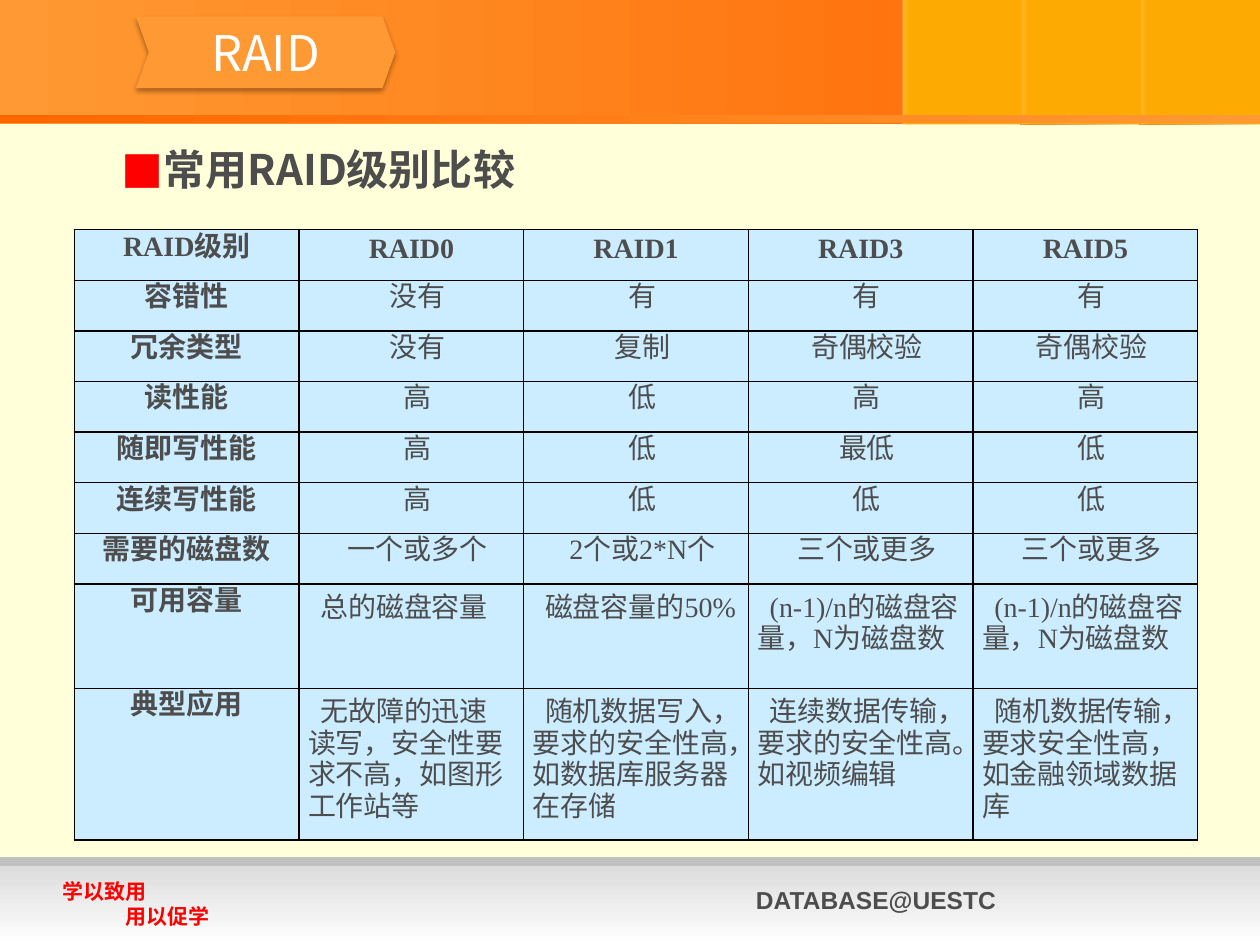
from collections import namedtuple

from pptx import Presentation
from pptx import util as u
from pptx.dml.color import RGBColor
from pptx.enum import shapes, text
from pptx.oxml import parse_xml
from pptx.oxml.ns import nsdecls, qn

Box = namedtuple("Box", "left top width height")

CREAM = RGBColor(0xFF, 0xFF, 0xD9)
ORANGE = RGBColor(0xFF, 0x99, 0x33)
DEEP_ORANGE = RGBColor(0xFF, 0x66, 0x00)
RUST = RGBColor(0xD2, 0x55, 0x00)
BROWN = RGBColor(0x61, 0x27, 0x00)
AMBER = RGBColor(0xFD, 0xAA, 0x03)
SILVER = RGBColor(0xC0, 0xC0, 0xC0)
PALE_GREY = RGBColor(0xDD, 0xDD, 0xDD)
WHITE = RGBColor(0xFF, 0xFF, 0xFF)
DARK_GREY = RGBColor(0x4D, 0x4D, 0x4D)
RED = RGBColor(0xFF, 0x00, 0x00)
LIGHT_BLUE = RGBColor(0xCC, 0xEC, 0xFF)

CJK_FONT = "Noto Sans CJK SC"

HEADER_ROW = ["RAID级别", "RAID0", "RAID1", "RAID3", "RAID5"]
SHORT_ROWS = [
    ["容错性", "没有", "有", "有", "有"],
    ["冗余类型", "没有", "复制", "奇偶校验", "奇偶校验"],
    ["读性能", "高", "低", "高", "高"],
    ["随即写性能", "高", "低", "最低", "低"],
    ["连续写性能", "高", "低", "低", "低"],
    ["需要的磁盘数", "一个或多个", "2个或2*N个", "三个或更多", "三个或更多"],
]
LONG_ROWS = [
    ["可用容量", "总的磁盘容量", "磁盘容量的50%"] + ["(n-1)/n的磁盘容量，N为磁盘数"] * 2,
    ["典型应用", "无故障的迅速读写，安全性要求不高，如图形工作站等",
     "随机数据写入，要求的安全性高，如数据库服务器在存储",
     "连续数据传输，要求的安全性高。如视频编辑",
     "随机数据传输，要求安全性高，如金融领域数据库"],
]
SHORT_HEIGHT = 1.02
LONG_HEIGHTS = [2.11, 3.05]


def add_panel(slide, box, *colors, angle=0, alphas=(), preset=shapes.MSO_SHAPE.RECTANGLE):
    """Add a borderless shape with one solid colour or a two-colour gradient."""
    shape = slide.shapes.add_shape(preset, *map(u.Cm, box))
    shape.shadow.inherit = False
    shape.line.fill.background()
    if len(colors) == 1:
        shape.fill.solid()
        shape.fill.fore_color.rgb = colors[0]
        return shape
    shape.fill.gradient()
    shape.fill.gradient_angle = angle
    for stop, color, position in zip(shape.fill.gradient_stops, colors, (0, 1)):
        stop.color.rgb = color
        stop.position = position
    color_elements = shape.element.spPr.iter(qn("a:srgbClr"))
    for element, alpha in zip(color_elements, alphas):
        element.append(parse_xml(f'<a:alpha {nsdecls("a")} val="{alpha * 1000}"/>'))
    return shape


def style_paragraph(paragraph, size, font, color, bold=False):
    """Format every run of a paragraph, East Asian typeface included."""
    for run in paragraph.runs:
        run.font.size = u.Pt(size)
        run.font.name = font
        run.font.bold = bold
        run.font.color.rgb = color
        run.font._element.find(qn("a:latin")).addnext(
            parse_xml(f'<a:ea {nsdecls("a")} typeface="{CJK_FONT}"/>'))


def add_text(slide, box, content, size, font, color):
    """Add a wrapping text box of bold paragraphs and return its text frame."""
    frame = slide.shapes.add_textbox(*map(u.Cm, box)).text_frame
    frame.word_wrap = True
    frame.text = content
    for paragraph in frame.paragraphs:
        style_paragraph(paragraph, size, font, color, bold=True)
    return frame


def add_amber_block(slide, box, shaded):
    """Add an amber block with a bright left edge and an optional shade behind it."""
    if shaded:
        add_panel(slide, box._replace(left=box.left - 0.03), RUST, BROWN, alphas=(80, 0))
    add_panel(slide, box, AMBER)
    add_panel(slide, box._replace(width=0.13), CREAM, AMBER, alphas=(18, 15))


def add_banner(slide, box):
    """Add the orange banner, its amber blocks, the base stripe and the title."""
    add_panel(slide, box, ORANGE, DEEP_ORANGE)
    block_width = 2.4
    for index in (1, 2, 3):
        left = box.left + box.width - index * block_width
        add_amber_block(slide, Box(left, box.top, block_width, box.height), index < 3)
    stripe_top = box.top + box.height - 0.2
    add_panel(slide, Box(box.left, stripe_top, box.width, 0.18), DEEP_ORANGE, ORANGE)
    add_title(slide, Box(box.left + 2.74, box.top + 0.33, 5.23, 1.45))


def add_title(slide, box):
    """Add the chevron that carries the slide title."""
    shape = add_panel(slide, box, ORANGE, preset=shapes.MSO_SHAPE.CHEVRON)
    shape.adjustments[0] = 0.18
    shape.element.spPr.find(qn("a:effectLst")).append(parse_xml(
        f'<a:outerShdw {nsdecls("a")} blurRad="{u.Pt(3.1)}" dist="{u.Pt(1.8)}" '
        'dir="5400000" rotWithShape="0"><a:srgbClr val="000000">'
        '<a:alpha val="35000"/></a:srgbClr></a:outerShdw>'))
    frame = shape.text_frame
    frame.text = "RAID"
    frame.vertical_anchor = text.MSO_ANCHOR.MIDDLE
    paragraph = frame.paragraphs[0]
    paragraph.alignment = text.PP_ALIGN.CENTER
    style_paragraph(paragraph, 28, CJK_FONT, WHITE)


def add_heading(slide, box):
    """Add the heading with its red square bullet."""
    frame = add_text(slide, box, "常用RAID级别比较", 24, CJK_FONT, DARK_GREY)
    properties = frame.paragraphs[0]._p.get_or_add_pPr()
    properties.set("marL", str(u.Cm(2.06)))
    properties.set("indent", str(u.Cm(-0.79)))
    for bullet in (f'<a:buClr {nsdecls("a")}><a:srgbClr val="{RED}"/></a:buClr>',
                   f'<a:buFont {nsdecls("a")} typeface="{CJK_FONT}"/>',
                   f'<a:buChar {nsdecls("a")} char="■"/>'):
        properties.append(parse_xml(bullet))


def fill_cell(cell, content, is_label, is_centered, is_indented):
    """Write one table cell with its borders, fill and paragraph layout."""
    properties = cell._tc.get_or_add_tcPr()
    for side in "LRTB":
        properties.append(parse_xml(
            f'<a:ln{side} {nsdecls("a")} w="{u.Pt(1)}"><a:solidFill>'
            f'<a:srgbClr val="000000"/></a:solidFill></a:ln{side}>'))
    cell.fill.solid()
    cell.fill.fore_color.rgb = LIGHT_BLUE
    cell.margin_left = cell.margin_right = u.Cm(0.18)
    cell.margin_top = u.Cm(0.2)
    cell.margin_bottom = 0
    cell.text_frame.text = content
    paragraph = cell.text_frame.paragraphs[0]
    paragraph.line_spacing = u.Pt(14 if is_centered else 18)
    paragraph.alignment = text.PP_ALIGN.CENTER if is_centered else text.PP_ALIGN.LEFT
    if is_indented:
        paragraph._p.get_or_add_pPr().set("indent", str(u.Cm(0.25)))
    style_paragraph(paragraph, 16, "Times New Roman", DARK_GREY, is_label)


def add_comparison(slide, box):
    """Add the table that compares the RAID levels."""
    rows = [HEADER_ROW] + SHORT_ROWS + LONG_ROWS
    first_long = len(rows) - len(LONG_ROWS)
    heights = [SHORT_HEIGHT] * first_long + LONG_HEIGHTS
    table = slide.shapes.add_table(len(rows), len(HEADER_ROW), *map(u.Cm, box)).table
    for column in table.columns:
        column.width = u.Cm(box.width / len(HEADER_ROW))
    for row_index, (values, height) in enumerate(zip(rows, heights)):
        table.rows[row_index].height = u.Cm(height)
        for column_index, value in enumerate(values):
            is_label = row_index == 0 or column_index == 0
            is_centered = is_label or row_index < first_long
            fill_cell(table.cell(row_index, column_index), value,
                      is_label, is_centered, not is_label)


def add_footer(slide, box):
    """Add the grey footer with its motto and course name."""
    add_panel(slide, box._replace(height=0.3), SILVER)
    add_panel(slide, Box(box.left, box.top + 0.18, box.width, box.height - 0.18),
              PALE_GREY, WHITE, angle=270)
    add_text(slide, Box(box.left + 14.99, box.top + 0.43, 8.76, 0.86),
             "DATABASE@UESTC", 14, "Arial", DARK_GREY)
    add_text(slide, Box(box.left + 1.02, box.top + 0.3, 5.08, 1.27),
             "学以致用\n\t用以促学", 12, "Arial", RED)


def main():
    """Build and save the slide."""
    presentation = Presentation()
    presentation.slide_width = u.Cm(25.4)
    presentation.slide_height = u.Cm(19.05)
    slide = presentation.slides.add_slide(presentation.slide_layouts[6])
    slide.background.fill.solid()
    slide.background.fill.fore_color.rgb = CREAM
    add_banner(slide, Box(0, 0, 25.4, 2.51))
    add_footer(slide, Box(0, 17.28, 25.4, 1.77))
    add_heading(slide, Box(0.94, 2.77, 22.63, 1.6))
    add_comparison(slide, Box(1.5, 4.63, 22.65, 12.3))
    presentation.save("out.pptx")


if __name__ == "__main__":
    main()
